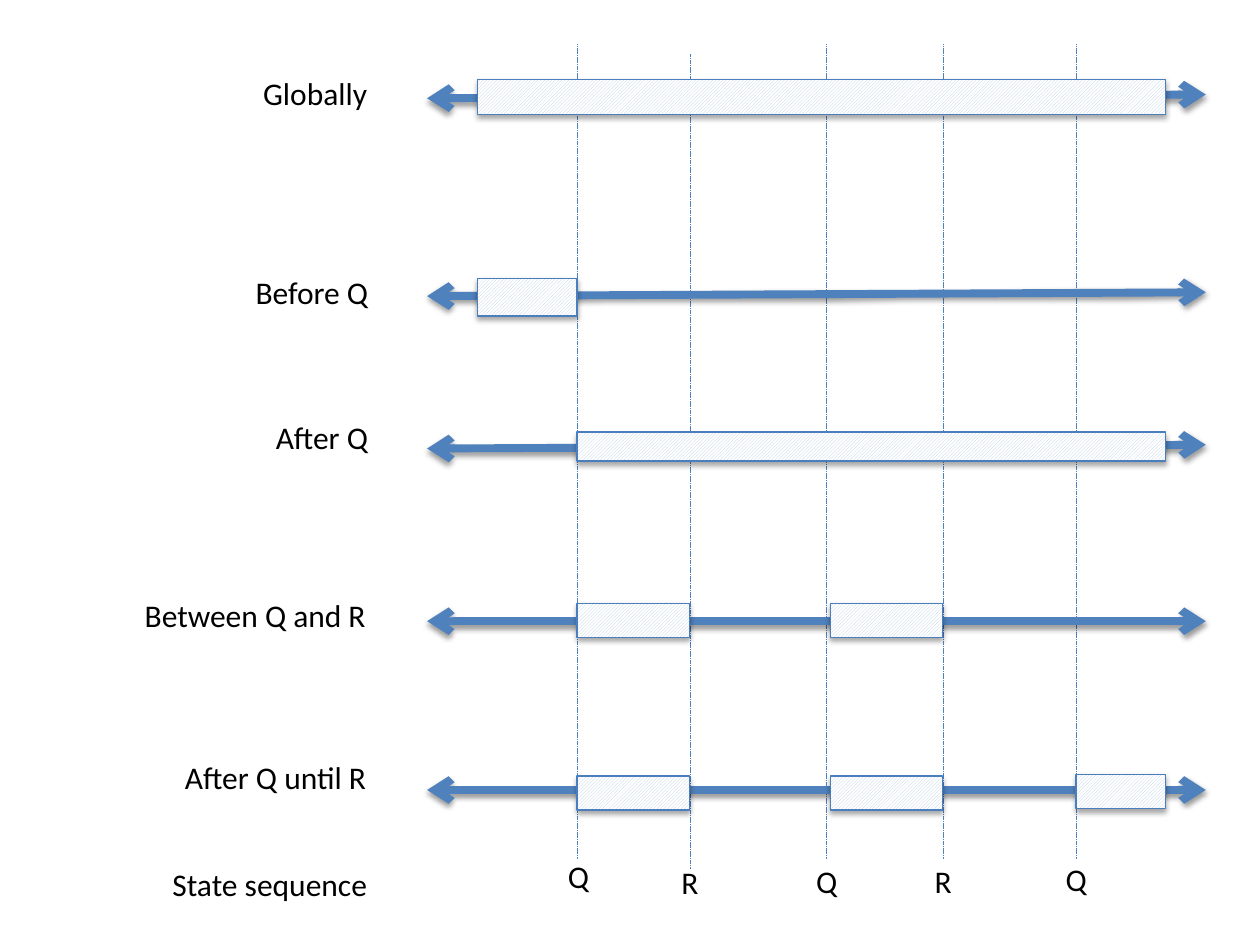
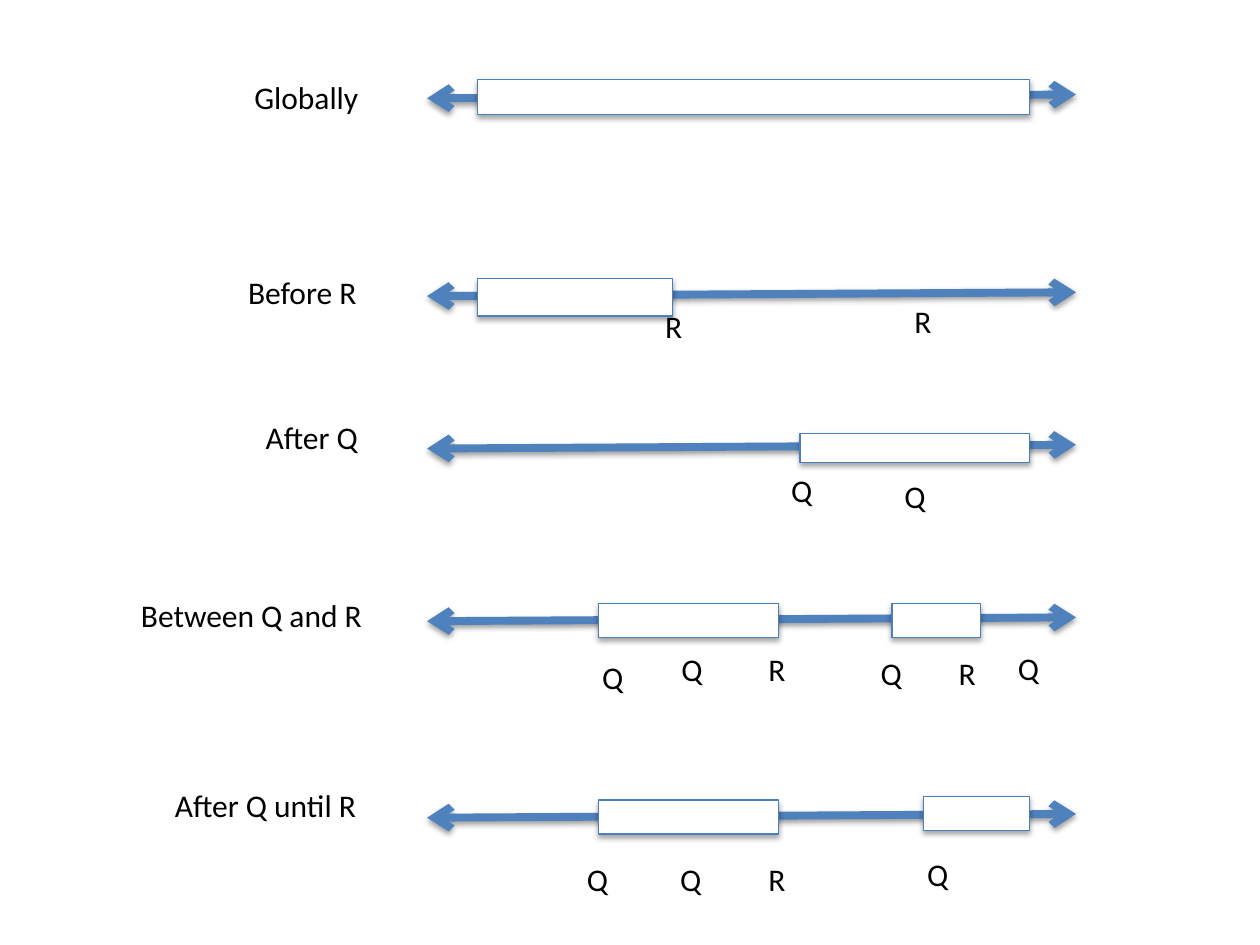
from lxml import etree
from pptx import Presentation
from pptx.dml.color import RGBColor
from pptx.enum.dml import MSO_LINE, MSO_PATTERN
from pptx.enum.shapes import MSO_CONNECTOR, MSO_SHAPE
from pptx.enum.text import MSO_AUTO_SIZE
from pptx.oxml import parse_xml
from pptx.oxml.ns import qn
from pptx.util import Inches, Pt

NS = "http://schemas.openxmlformats.org/drawingml/2006/main"
LABEL_WIDTHS = {"Globally": 1.04, "Before Q": 1.12, "Before R": 1.09, "After Q": 0.95,
                "Between Q and R": 1.98, "After Q until R": 1.66, "State sequence": 1.77,
                "Q": 0.37, "R": 0.34}


def rgb(value):
    return RGBColor.from_string(value)


class Diagram:
    """Draws scope timelines in one shared style on the current slide."""

    blue, edge, hatch, white, black = "4F81BD", "4B7EBC", "B9CDE5", "FFFFFF", "000000"
    font, size = "Calibri", 18
    axis_left, bar_left = 3.39, 3.79

    def __init__(self, prs):
        self.prs = prs

    def new_slide(self, axis_right, hatched):
        self.s = self.prs.slides.add_slide(self.prs.slide_layouts[6])
        self.axis_right, self.hatched = axis_right, hatched

    def shadow(self, sp, alpha, distance):
        props = sp._element.spPr
        for old in props.findall(qn("a:effectLst")):
            props.remove(old)
        props.append(parse_xml(
            f'<a:effectLst xmlns:a="{NS}"><a:outerShdw blurRad="{Pt(3.1)}" dist="{Pt(distance)}" '
            f'dir="5400000" rotWithShape="0"><a:srgbClr val="{self.black}">'
            f'<a:alpha val="{alpha * 1000}"/></a:srgbClr></a:outerShdw></a:effectLst>'))

    def line(self, x1, y1, x2, y2, width):
        sp = self.s.shapes.add_connector(
            MSO_CONNECTOR.STRAIGHT, Inches(x1), Inches(y1), Inches(x2), Inches(y2))
        sp.line.color.rgb = rgb(self.blue)
        sp.line.width = Pt(width)
        self.shadow(sp, 38, 1.6)
        return sp

    def marker(self, x, top):
        sp = self.line(x, top, x, top + 6.47, 0.25)
        sp.line.dash_style = MSO_LINE.SQUARE_DOT
        sp.line._ln.find(qn("a:prstDash")).set("val", "sysDash")

    def axis(self, y, rise):
        sp = self.line(self.axis_left, y, self.axis_right, y - rise, 4.5)
        for end in ("a:headEnd", "a:tailEnd"):
            etree.SubElement(sp.line._ln, qn(end), type="arrow")

    def bar(self, left, top, right, height):
        sp = self.s.shapes.add_shape(
            MSO_SHAPE.RECTANGLE, Inches(left), Inches(top), Inches(right - left), Inches(height))
        if self.hatched:
            sp.fill.patterned()
            sp.fill.pattern = MSO_PATTERN.LIGHT_UPWARD_DIAGONAL
            sp.fill.fore_color.rgb = rgb(self.hatch)
            sp.fill.back_color.rgb = rgb(self.white)
        else:
            sp.fill.solid()
            sp.fill.fore_color.rgb = rgb(self.white)
        sp.line.color.rgb = rgb(self.edge)
        sp.line.width = Pt(0.75)
        self.shadow(sp, 35, 1.8)

    def text(self, words, left, top, width=None, wrap=False):
        sp = self.s.shapes.add_textbox(
            Inches(left), Inches(top), Inches(width or LABEL_WIDTHS[words]), Inches(0.4))
        tf = sp.text_frame
        tf.word_wrap = wrap
        tf.auto_size = MSO_AUTO_SIZE.SHAPE_TO_FIT_TEXT
        p = tf.paragraphs[0]
        p.text = words
        p.font.name, p.font.size = self.font, Pt(self.size)
        p.font.color.rgb = rgb(self.black)

    def label(self, words, right, top):
        self.text(words, right - LABEL_WIDTHS[words], top)

    def row(self, words, right, top, y, rise, height, bars):
        self.axis(y, rise)
        for left, bar_top, bar_right in bars:
            self.bar(left, bar_top, bar_right, height)
        self.label(words, right, top)


def state_sequence(d):
    d.new_slide(9.57, True)
    q1, r1, q2, r2, q3, end = 4.58, 5.48, 6.59, 7.48, 8.54, 9.25
    events = [("Q", q1, 0.35, 4.41, 6.75), ("R", r1, 0.43, 5.31, 6.8),
              ("Q", 6.56, 0.35, 6.38, 6.79), ("R", 7.49, 0.35, 7.32, 6.79),
              ("Q", q3, 0.35, 8.36, 6.78)]
    for _, x, top, _, _ in events:
        d.marker(x, top)
    rows = [("Globally", 3.03, 0.54, 0.78, 0.03, 0.28, [(d.bar_left, 0.63, end)]),
            ("Before Q", 3.05, 2.12, 2.35, 0.03, 0.3, [(d.bar_left, 2.21, q1)]),
            ("After Q", 3.04, 3.27, 3.56, 0.03, 0.23, [(q1, 3.43, end)]),
            ("Between Q and R", 3.03, 4.68, 4.93, 0, 0.27, [(q1, 4.79, 5.47), (q2, 4.79, r2)]),
            ("After Q until R", 3.03, 5.97, 6.27, 0, 0.27,
             [(q1, 6.16, 5.47), (q2, 6.16, r2), (q3, 6.15, end)])]
    for row in rows:
        d.row(*row)
    for name, _, _, left, top in events:
        d.text(name, left, top, 0.37, True)
    d.label("State sequence", 3.04, 6.82)


def separate_sequences(d):
    d.new_slide(8.54, False)
    end = 8.17
    rows = [("Globally", 2.96, 0.57, 0.78, 0.28, [(d.bar_left, 0.63, end)]),
            ("Before R", 2.96, 2.12, 2.35, 0.3, [(d.bar_left, 2.21, 5.34)]),
            ("After Q", 2.96, 3.27, 3.56, 0.23, [(6.35, 3.44, end)]),
            ("Between Q and R", 3, 4.68, 4.93, 0.27, [(4.75, 4.79, 6.18), (7.08, 4.79, 7.78)]),
            ("After Q until R", 2.95, 6.19, 6.49, 0.27, [(4.75, 6.35, 6.18), (7.33, 6.32, end)])]
    for words, right, top, y, height, bars in rows:
        d.row(words, right, top, y, 0.03, height, bars)
    events = {"R": [(5.18, 2.39), (7.16, 2.35), (6, 5.11), (7.51, 5.14), (6, 6.78)],
              "Q": [(6.18, 3.69), (7.08, 3.74), (4.68, 5.17), (5.31, 5.11), (6.89, 5.14),
                    (7.98, 5.1), (4.56, 6.78), (5.3, 6.78), (7.26, 6.74)]}
    for name, places in events.items():
        for left, top in places:
            d.text(name, left, top)


prs = Presentation()
prs.slide_width, prs.slide_height = Inches(10), Inches(7.5)
diagram = Diagram(prs)
state_sequence(diagram)
separate_sequences(diagram)
prs.save("out.pptx")
